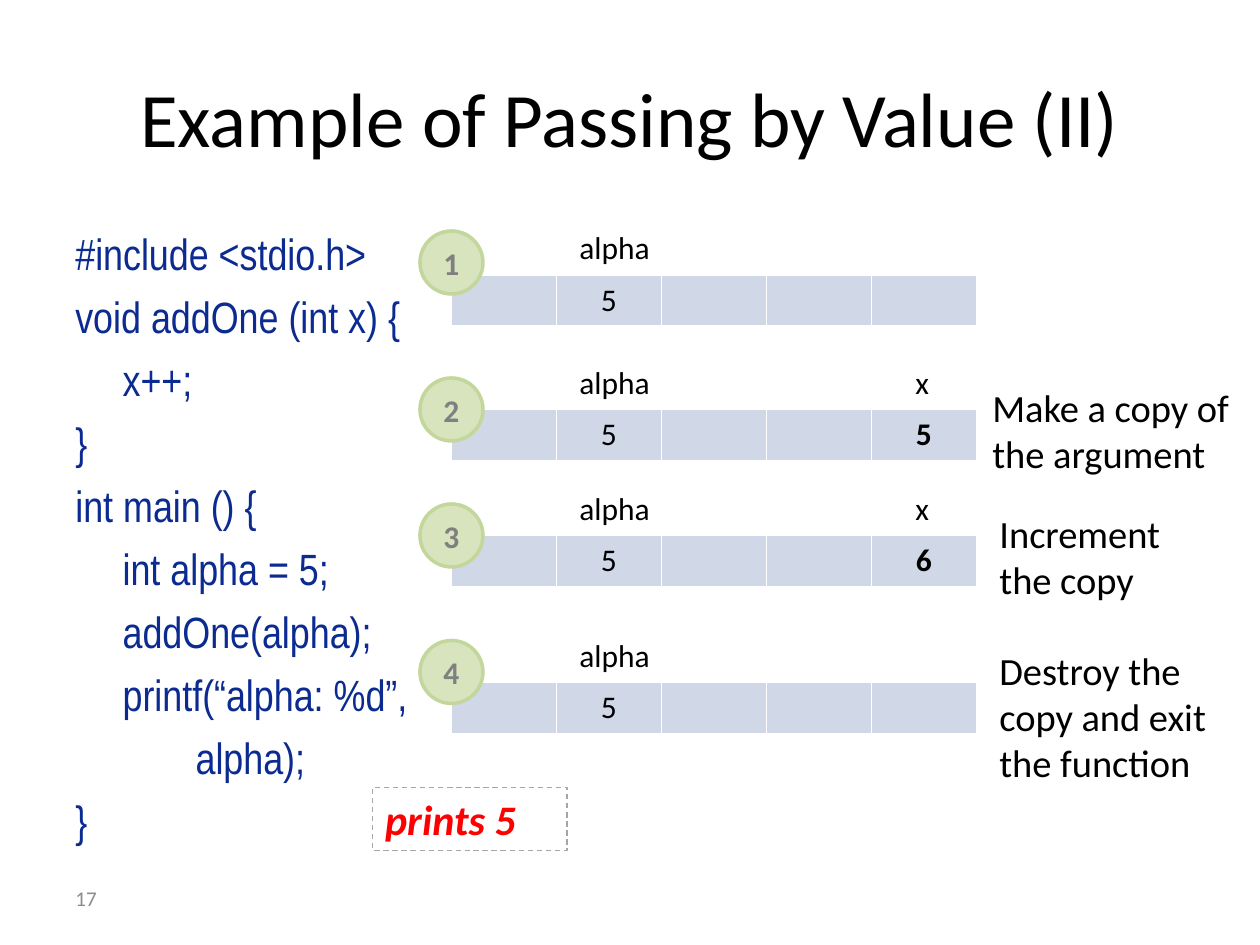
from lxml import etree
from pptx import Presentation
from pptx.dml.color import RGBColor
from pptx.enum import dml, shapes, text
from pptx.oxml import ns
from pptx.util import Pt

CODE = ["#include <stdio.h>", "void addOne (int x) {", "\tx++;", "}",
        "int main () {", "\tint alpha = 5;", "\taddOne(alpha);",
        "\tprintf(\u201calpha: %d\u201d,", "\t\t alpha);", "}"]

# Memory row top, badge top, value of x, note, note left and width
STEPS = [(157, 132, None, None, 0, 0),
         (234, 216, "5", "Make a copy of the argument", 560, 160),
         (306, 288, "6", "Increment the copy", 564, 132),
         (390, 366, None, "Destroy the copy and exit the function", 564, 144)]


def color(value):
    """Turn a hex string into a colour."""
    return RGBColor.from_string(value)


def style(para, size, hue="000000", name="Calibri", bold=False, italic=False):
    """Set the font of a whole paragraph."""
    font = para.font
    font.size, font.name, font.bold, font.italic = Pt(size), name, bold, italic
    font.color.rgb = color(hue)


def add_text(page, box, words, size, **looks):
    """Add a wrapping text box at (left, top, width, height)."""
    shape = page.shapes.add_textbox(*map(Pt, box))
    shape.text_frame.word_wrap = True
    shape.text_frame.text = words
    for para in shape.text_frame.paragraphs:
        style(para, size, **looks)
    return shape


def add_title(page, box, words):
    """Place and format the title placeholder."""
    title = page.shapes.title
    title.left, title.top, title.width, title.height = map(Pt, box)
    title.text_frame.text = words
    title.text_frame.vertical_anchor = text.MSO_ANCHOR.MIDDLE
    para = title.text_frame.paragraphs[0]
    para.alignment = text.PP_ALIGN.CENTER
    style(para, 44)


def add_code(page, box):
    """Add the program listing with hanging indents."""
    shape = add_text(page, box, "\n".join(CODE), 25, hue="0B2B91", name="Arial Narrow")
    for para in shape.text_frame.paragraphs:
        para.space_before = Pt(6)
        para._p.get_or_add_pPr().set("marL", str(Pt(27)))
        para._p.get_or_add_pPr().set("indent", str(Pt(-27)))


def add_borders(cell, hue):
    """Draw thin lines on all four sides of a cell."""
    props = cell._tc.get_or_add_tcPr()
    for place, side in enumerate(("lnL", "lnR", "lnT", "lnB")):
        line = etree.Element(ns.qn("a:" + side), w=str(Pt(1)))
        fill = etree.SubElement(line, ns.qn("a:solidFill"))
        etree.SubElement(fill, ns.qn("a:srgbClr"), val=hue)
        props.insert(place, line)


def add_memory(page, box, x_value):
    """Add a row of five memory cells with variable names above."""
    left, top, width, height = box
    table = page.shapes.add_table(1, 5, *map(Pt, box)).table
    table.first_row = table.horz_banding = False
    values = ["", "5", "", "", x_value or ""]
    for column, value in enumerate(values):
        table.columns[column].width = Pt(width / 5)
        cell = table.cell(0, column)
        cell.fill.solid()
        cell.fill.fore_color.rgb = color("D0D8E8")
        add_borders(cell, "FFFFFF")
        cell.text = value
        para = cell.text_frame.paragraphs[0]
        para.alignment = text.PP_ALIGN.CENTER
        style(para, 18, bold=column == 4)
    add_text(page, (left + 66, top - 30, 78, 29), "alpha", 18)
    if x_value:
        add_text(page, (left + 258, top - 30, 66, 29), "x", 18)


def add_badge(page, box, number):
    """Add a round step number."""
    badge = page.shapes.add_shape(shapes.MSO_SHAPE.OVAL, *map(Pt, box))
    badge.shadow.inherit = False
    badge.fill.solid()
    badge.fill.fore_color.rgb = color("D7E4BD")
    badge.line.color.rgb = color("C3D69B")
    badge.line.width = Pt(2)
    badge.text_frame.text = str(number)
    badge.text_frame.vertical_anchor = text.MSO_ANCHOR.MIDDLE
    para = badge.text_frame.paragraphs[0]
    para.alignment = text.PP_ALIGN.CENTER
    style(para, 18, hue="808080", bold=True)


def add_output(page, box, words):
    """Add the dashed box with the printed result."""
    shape = add_text(page, box, words, 24, hue="FF0000", bold=True, italic=True)
    shape.line.color.rgb = color("A6A6A6")
    shape.line.width = Pt(0.75)
    shape.line.dash_style = dml.MSO_LINE.DASH


def build():
    """Build the slide and save it."""
    deck = Presentation()
    deck.slide_width, deck.slide_height = Pt(720), Pt(540)
    page = deck.slides.add_slide(deck.slide_layouts.get_by_name("Title Only"))
    add_title(page, (36, 21.6, 648, 90), "Example of Passing by Value (II)")
    add_code(page, (36, 126, 648, 356))
    number = add_text(page, (36, 498.5, 168, 29), "17", 12, hue="8C8C8C")
    number.text_frame.vertical_anchor = text.MSO_ANCHOR.MIDDLE
    for index, (top, badge_top, x_value, note, left, width) in enumerate(STEPS, 1):
        add_memory(page, (258, top, 300, 29.2), x_value)
        add_badge(page, (240, badge_top, 36, 36), index)
        if note:
            add_text(page, (left, badge_top, width, 60), note, 22)
    add_output(page, (213, 450, 111, 36), "prints 5")
    deck.save("out.pptx")


build()
